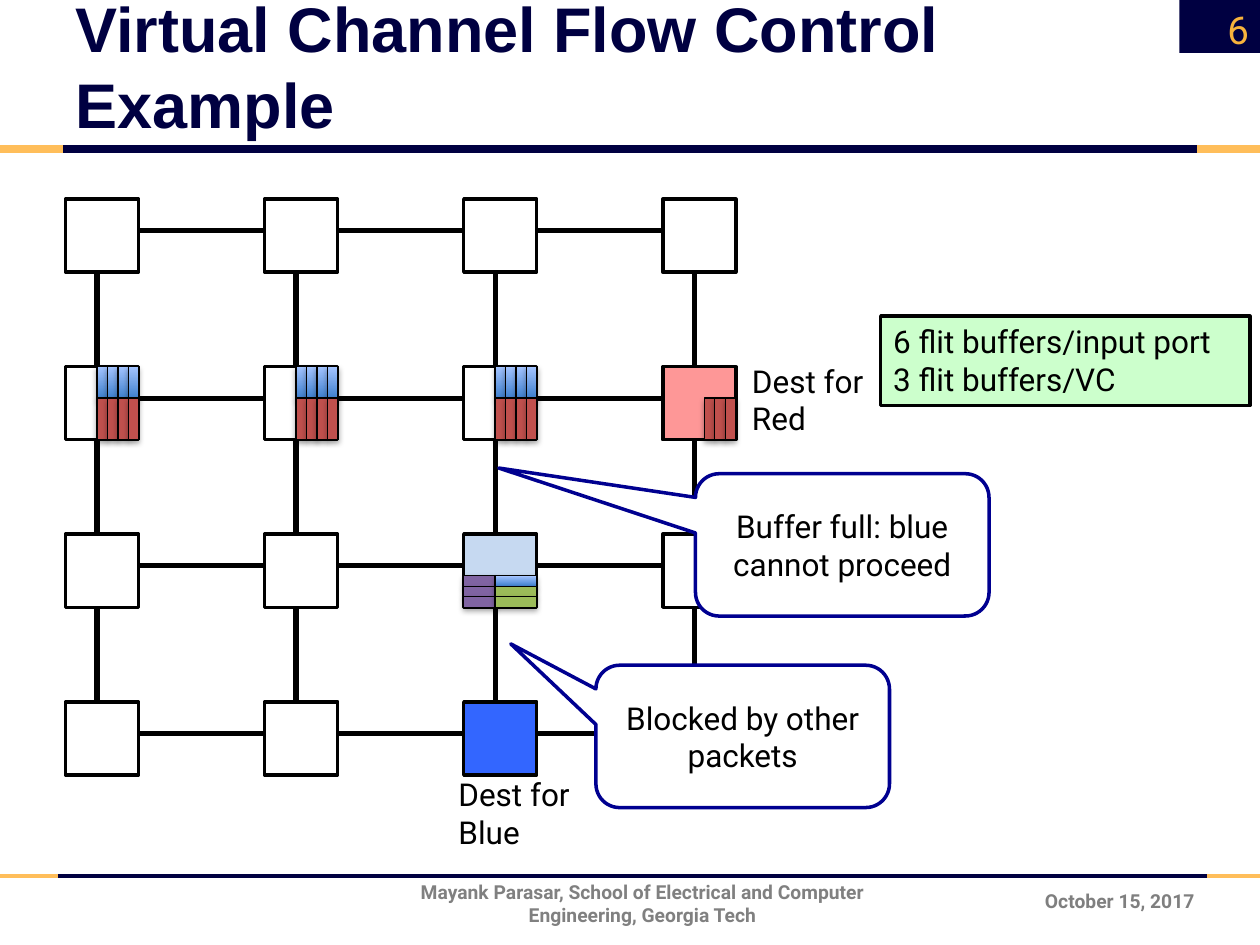
"""Build the virtual channel flow control slide: a 4 by 4 mesh with flit buffers."""
from dataclasses import dataclass
from itertools import product
from typing import Optional

from lxml import etree
from pptx import Presentation
from pptx.dml.color import RGBColor
from pptx.enum import shapes, text
from pptx.oxml.ns import qn
from pptx.util import Inches, Pt


@dataclass(frozen=True)
class Theme:
    navy: str = "000041"
    gold: str = "FFBE5A"
    number: str = "F8B33C"
    date: str = "7F7F7F"
    footer: str = "808080"
    black: str = "000000"
    white: str = "FFFFFF"
    callout: str = "000090"
    note: str = "CCFFCC"
    red_dest: str = "FE9797"
    blue_dest: str = "3366FF"
    source: str = "C6D9F1"
    red: str = "C0504D"
    green: str = "9BBB59"
    purple: str = "8064A2"
    blue: tuple = ("3F80CE", "A4C4FF")
    display: str = "Arial"
    body: str = "Roboto"
    title_size: int = 36
    number_size: int = 22
    body_size: int = 18
    footer_size: int = 11


@dataclass(frozen=True)
class Box:
    x: float
    y: float
    w: float
    h: float


@dataclass(frozen=True)
class Rule:
    x1: float
    x2: float
    y: float
    color: str
    width: float


@dataclass(frozen=True)
class Flits:
    col: int
    row: int
    first: Box
    count: int
    fill: object
    stacked: bool = False


@dataclass(frozen=True)
class Label:
    box: Box
    lines: tuple
    size: int
    color: str
    bold: bool = False
    align: text.PP_ALIGN = text.PP_ALIGN.LEFT
    anchor: text.MSO_ANCHOR = text.MSO_ANCHOR.TOP


@dataclass(frozen=True)
class Callout:
    label: Label
    tip: tuple


T = Theme()
CENTER, RIGHT, MIDDLE = text.PP_ALIGN.CENTER, text.PP_ALIGN.RIGHT, text.MSO_ANCHOR.MIDDLE
SIZE, LEFT, TOP, DX, DY = 4, 0.52, 1.58, 1.58, 1.33
NODE, PORT = 0.58, 0.25
FLIT = PORT / 3
NODE_FILLS = {(3, 1): T.red_dest, (2, 2): T.source, (2, 3): T.blue_dest}

RULES = [
    Rule(0.46, 9.58, 6.95, T.navy, 2.25), Rule(0.5, 9.7, 1.18, T.navy, 4.5),
    Rule(0, 0.5, 1.18, T.gold, 4.5), Rule(0, 0.46, 6.95, T.gold, 2.25),
    Rule(9.58, 10, 6.95, T.gold, 2.25), Rule(9.5, 10, 1.18, T.gold, 4.5),
]
FLITS = [
    *(Flits(c, 1, Box(PORT, 0, FLIT, PORT), 4, T.blue) for c in range(3)),
    *(Flits(c, 1, Box(PORT, PORT, FLIT, NODE - PORT), 4, T.red) for c in range(3)),
    Flits(3, 1, Box(NODE - PORT, PORT, FLIT, NODE - PORT), 3, T.red),
    Flits(2, 2, Box(0, NODE - PORT, PORT, FLIT), 3, T.purple, True),
    Flits(2, 2, Box(PORT, NODE - PORT, NODE - PORT, FLIT), 1, T.blue, True),
    Flits(2, 2, Box(PORT, NODE - 2 * FLIT, NODE - PORT, FLIT), 2, T.green, True),
]
LABELS = [
    Label(Box(8.09, 6.95, 1.49, 0.4), ("October 15, 2017",), T.footer_size, T.date, True, RIGHT, MIDDLE),
    Label(Box(2.8, 6.97, 4.6, 0.4),
          ("Mayank Parasar, School of Electrical and Computer Engineering, Georgia Tech",),
          T.footer_size, T.footer, True, CENTER, MIDDLE),
    Label(Box(9.34, 0.03, 0.67, 0.4), ("6",), T.number_size, T.number, False, RIGHT, MIDDLE),
    Label(Box(5.87, 2.82, 1.46, 0.71), ("Dest for Red",), T.body_size, T.black),
    Label(Box(3.54, 6.1, 1.46, 0.71), ("Dest for Blue",), T.body_size, T.black),
]
NOTE = Label(Box(6.99, 2.51, 2.93, 0.71), ("6 flit buffers/input port", "3 flit buffers/VC"),
             T.body_size, T.black)
CALLOUTS = [
    Callout(Label(Box(5.52, 3.76, 2.33, 1.13), ("Buffer full: blue cannot proceed",),
                  T.body_size, T.black, False, CENTER, MIDDLE), (-1.17, -0.54)),
    Callout(Label(Box(4.73, 5.28, 2.33, 1.13), ("Blocked by other packets",),
                  T.body_size, T.black, False, CENTER, MIDDLE), (-0.79, -0.65)),
]


def rgb(color: str) -> RGBColor:
    return RGBColor.from_string(color)


def inches(box: Box) -> tuple:
    return tuple(Inches(v) for v in (box.x, box.y, box.w, box.h))


def add_line(s, x1: float, y1: float, x2: float, y2: float, color: str, width: float) -> None:
    ln = s.shapes.add_connector(shapes.MSO_CONNECTOR.STRAIGHT, *map(Inches, (x1, y1, x2, y2)))
    ln.line.color.rgb, ln.line.width = rgb(color), Pt(width)
    etree.SubElement(ln._element.spPr, qn("a:effectLst"))


def add_shape(s, box: Box, fill: object, line: Optional[str] = T.black, width: float = 2,
              kind=shapes.MSO_SHAPE.RECTANGLE):
    sp = s.shapes.add_shape(kind, *inches(box))
    sp.shadow.inherit = False
    if fill is None:
        sp.fill.background()
    elif isinstance(fill, tuple):
        sp.fill.gradient()
        sp.fill.gradient_angle = 90
        for stop, color in zip(sp.fill.gradient_stops, fill):
            stop.color.rgb = rgb(color)
    else:
        sp.fill.solid()
        sp.fill.fore_color.rgb = rgb(fill)
    if line is None:
        sp.line.fill.background()
    else:
        sp.line.color.rgb, sp.line.width = rgb(line), Pt(width)
    return sp


def write(sp, label: Label, font: str = T.body) -> None:
    tf = sp.text_frame
    tf.word_wrap, tf.auto_size, tf.vertical_anchor = True, text.MSO_AUTO_SIZE.NONE, label.anchor
    for i, line in enumerate(label.lines):
        p = tf.add_paragraph() if i else tf.paragraphs[0]
        p.alignment = label.align
        r = p.add_run()
        r.text = line
        r.font.name, r.font.size, r.font.bold = font, Pt(label.size), label.bold
        r.font.color.rgb = rgb(label.color)


def add_flits(s, group: Flits) -> None:
    b = group.first
    for i in range(group.count):
        x = LEFT + group.col * DX + b.x + (0 if group.stacked else i * b.w)
        y = TOP + group.row * DY + b.y + (i * b.h if group.stacked else 0)
        sp = add_shape(s, Box(x, y, b.w, b.h), group.fill, width=0.75)
        effects = sp._element.spPr.find(qn("a:effectLst"))
        shadow = etree.SubElement(effects, qn("a:outerShdw"), blurRad=str(Pt(3.1)),
                                  dist=str(Pt(1.8)), dir="5400000", rotWithShape="0")
        color = etree.SubElement(shadow, qn("a:srgbClr"), val=T.black)
        etree.SubElement(color, qn("a:alpha"), val="35000")


def add_mesh(s) -> None:
    for row, col in product(range(SIZE), repeat=2):
        x, y = LEFT + col * DX, TOP + row * DY
        add_shape(s, Box(x, y, NODE, NODE), NODE_FILLS.get((col, row)))
        if col < SIZE - 1:
            add_line(s, x + NODE, y + PORT, x + DX, y + PORT, T.black, 3)
        if row < SIZE - 1:
            add_line(s, x + PORT, y + NODE, x + PORT, y + DY, T.black, 3)


def main() -> None:
    prs = Presentation()
    prs.slide_width, prs.slide_height = Inches(10), Inches(7.5)
    s = prs.slides.add_slide(prs.slide_layouts[5])
    title = Label(Box(0.5, 0.17, 8.84, 1), ("Virtual Channel Flow Control Example",), T.title_size,
                  T.navy, True, anchor=text.MSO_ANCHOR.BOTTOM)
    sp = s.shapes.title
    sp.left, sp.top, sp.width, sp.height = inches(title.box)
    write(sp, title, T.display)
    add_shape(s, Box(9.36, 0, 0.68, 0.42), T.navy, None)
    for rule in RULES:
        add_line(s, rule.x1, rule.y, rule.x2, rule.y, rule.color, rule.width)
    add_mesh(s)
    for group in FLITS:
        add_flits(s, group)
    for c in CALLOUTS:
        sp = add_shape(s, c.label.box, T.white, T.callout,
                       kind=shapes.MSO_SHAPE.ROUNDED_RECTANGULAR_CALLOUT)
        sp.adjustments[0], sp.adjustments[1] = c.tip
        write(sp, c.label)
    for label in LABELS:
        write(s.shapes.add_textbox(*inches(label.box)), label)
    write(add_shape(s, NOTE.box, T.note), NOTE)
    prs.save("out.pptx")


if __name__ == "__main__":
    main()
